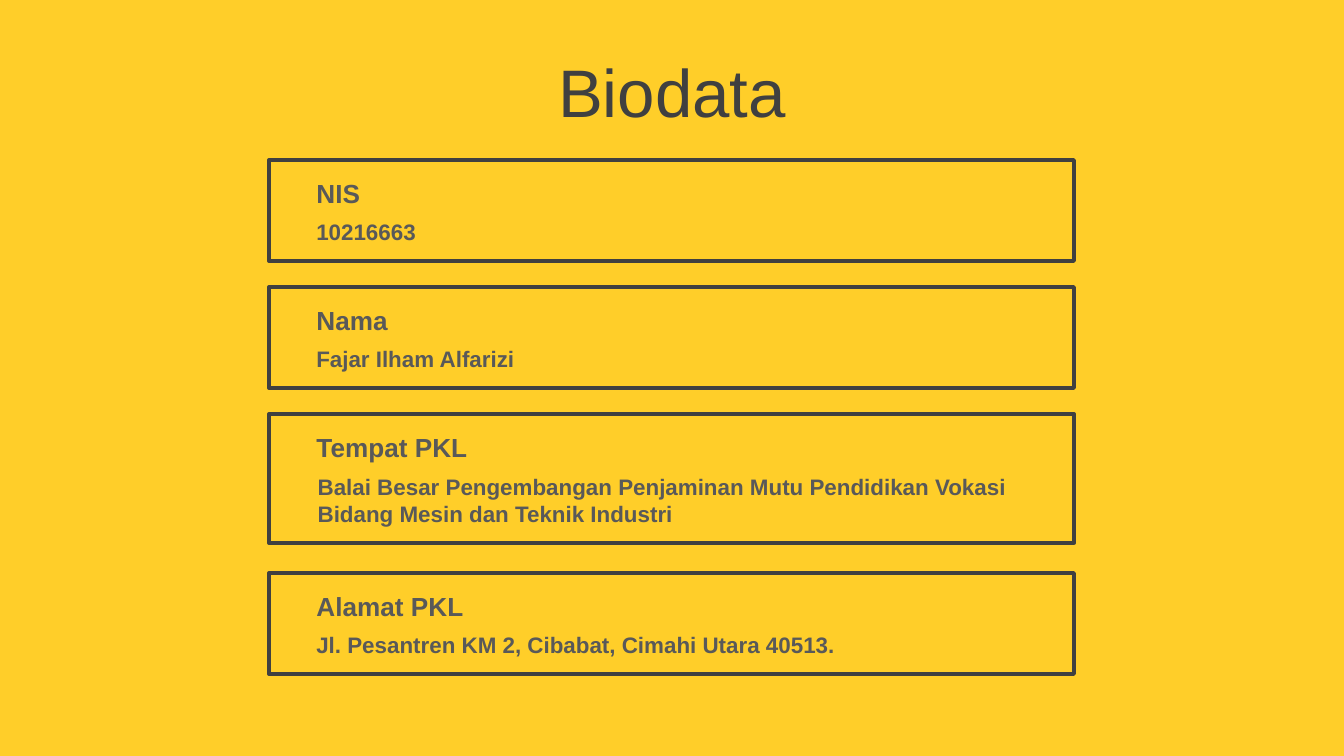
"""Build the Biodata slide with four outlined entry cards."""
import pptx
import pptx.dml.color
import pptx.enum.shapes
import pptx.enum.text
import pptx.util

EMU_PER_PX = 914400 / 134.4
SLIDE_WIDTH, SLIDE_HEIGHT = 1344, 756
CARD_LEFT, CARD_WIDTH = 269, 805
TEXT_LEFT, TEXT_WIDTH = 301, 741
LABEL_OFFSET, LABEL_HEIGHT = 9, 47
VALUE_OFFSET, VALUE_BOTTOM_GAP = 49, 9
FONT = "Arial"
COLORS = {"background": "FFCE29", "dark": "404040", "text": "595959"}
ENTRIES = [
    (160, 101, "NIS", "10216663"),
    (287, 101, "Nama", "Fajar Ilham Alfarizi"),
    (414, 129, "Tempat PKL",
     "Balai Besar Pengembangan Penjaminan Mutu Pendidikan Vokasi "
     "Bidang Mesin dan Teknik Industri"),
    (573, 101, "Alamat PKL", "Jl. Pesantren KM 2, Cibabat, Cimahi Utara 40513."),
]


def px(length):
    """Turn a length in px into EMU."""
    return pptx.util.Emu(round(length * EMU_PER_PX))


def color(name):
    """Return the named colour."""
    return pptx.dml.color.RGBColor.from_string(COLORS[name])


def write_text(shape, text, size, color_name, alignment, bold=False):
    """Write one formatted paragraph into a shape."""
    shape.text_frame.text = text
    paragraph = shape.text_frame.paragraphs[0]
    paragraph.alignment = alignment
    font = paragraph.runs[0].font
    font.name = FONT
    font.size = pptx.util.Pt(size)
    font.bold = bold
    font.color.rgb = color(color_name)


def set_title(slide, text):
    """Place and format the title placeholder."""
    title = slide.shapes.title
    title.left, title.top = px(0), px(48)
    title.width, title.height = px(SLIDE_WIDTH), px(85)
    write_text(title, text, 36, "dark", pptx.enum.text.PP_ALIGN.CENTER)
    title.text_frame.vertical_anchor = pptx.enum.text.MSO_ANCHOR.MIDDLE


def add_frame(slide, top, height):
    """Add the outlined rectangle of a card."""
    frame = slide.shapes.add_shape(
        pptx.enum.shapes.MSO_SHAPE.RECTANGLE,
        px(CARD_LEFT), px(top), px(CARD_WIDTH), px(height))
    frame.shadow.inherit = False
    frame.fill.background()
    frame.line.color.rgb = color("dark")
    frame.line.width = pptx.util.Pt(2)


def add_line_of_text(group, top, height, text, size):
    """Add an unfilled shape with bold left-aligned text to a group."""
    shape = group.shapes.add_shape(
        pptx.enum.shapes.MSO_SHAPE.ROUND_2_SAME_RECTANGLE,
        px(TEXT_LEFT), px(top), px(TEXT_WIDTH), px(height))
    shape.shadow.inherit = False
    shape.fill.background()
    shape.line.fill.background()
    write_text(shape, text, size, "text", pptx.enum.text.PP_ALIGN.LEFT, bold=True)
    text_frame = shape.text_frame
    text_frame.word_wrap = True
    text_frame.auto_size = pptx.enum.text.MSO_AUTO_SIZE.SHAPE_TO_FIT_TEXT
    text_frame.vertical_anchor = pptx.enum.text.MSO_ANCHOR.TOP


def add_card(slide, top, height, label, value):
    """Add a frame with its grouped label and value."""
    add_frame(slide, top, height)
    group = slide.shapes.add_group_shape()
    add_line_of_text(group, top + LABEL_OFFSET, LABEL_HEIGHT, label, 14)
    value_height = height - VALUE_OFFSET - VALUE_BOTTOM_GAP
    add_line_of_text(group, top + VALUE_OFFSET, value_height, value, 12)


def main():
    """Build and save the presentation."""
    presentation = pptx.Presentation()
    presentation.slide_width = px(SLIDE_WIDTH)
    presentation.slide_height = px(SLIDE_HEIGHT)
    slide = presentation.slides.add_slide(presentation.slide_layouts[5])
    slide.background.fill.solid()
    slide.background.fill.fore_color.rgb = color("background")
    set_title(slide, "Biodata")
    for entry in ENTRIES:
        add_card(slide, *entry)
    presentation.save("out.pptx")


if __name__ == "__main__":
    main()
